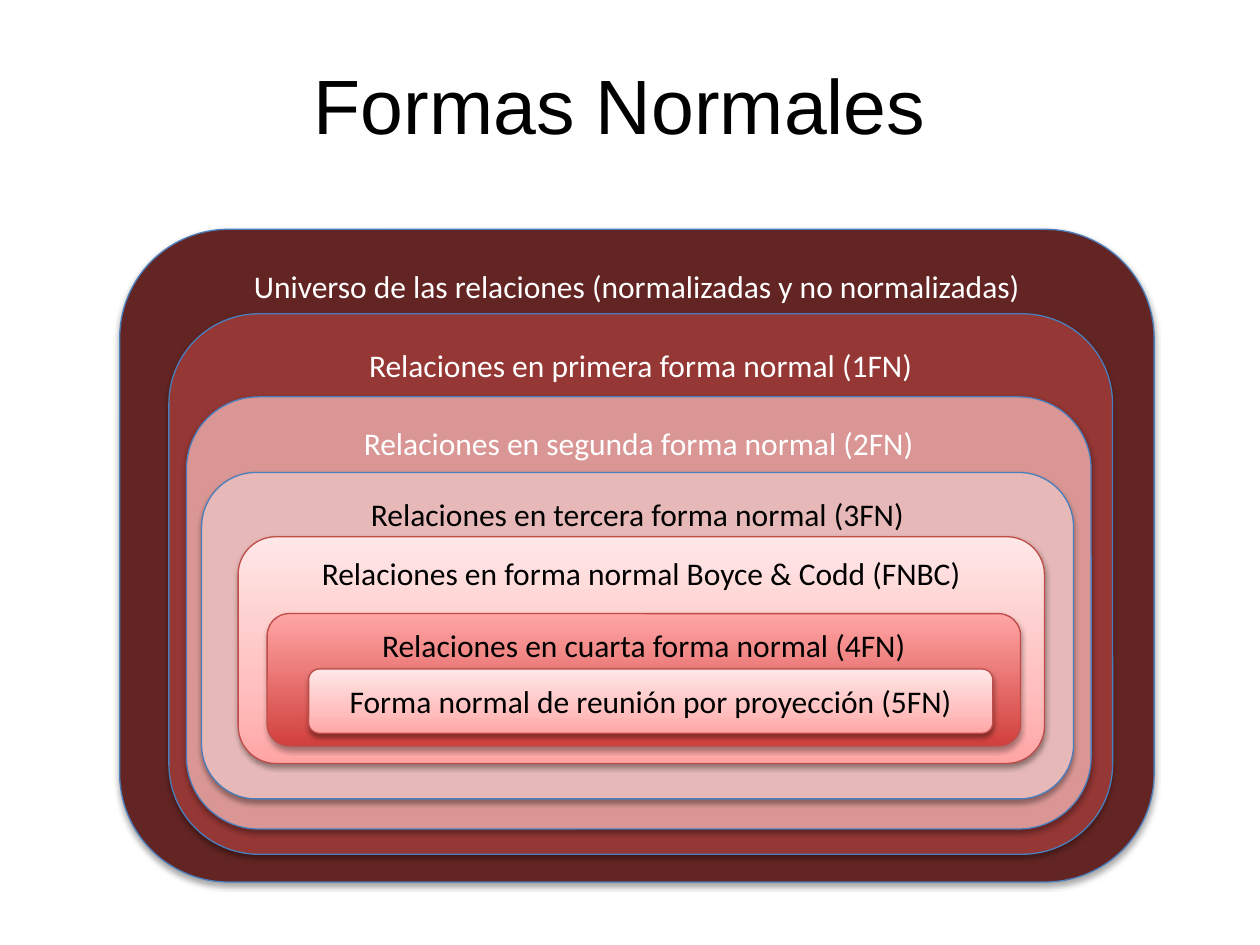
from lxml.etree import SubElement
from pptx import Presentation
from pptx.dml.color import RGBColor
from pptx.enum.shapes import MSO_SHAPE
from pptx.enum.text import MSO_ANCHOR, PP_ALIGN
from pptx.oxml.ns import qn
from pptx.util import Inches, Pt

BLACK = RGBColor(0x00, 0x00, 0x00)
WHITE = RGBColor(0xFF, 0xFF, 0xFF)
MAROON = RGBColor(0x63, 0x25, 0x23)
BRICK = RGBColor(0x95, 0x37, 0x35)
ROSE = RGBColor(0xD9, 0x96, 0x94)
PALE_ROSE = RGBColor(0xE6, 0xB9, 0xB8)
RED = RGBColor(0xD1, 0x40, 0x3C)
SALMON = RGBColor(0xFF, 0xA6, 0xA5)
PINK = RGBColor(0xFF, 0xC0, 0xBF)
BLUSH = RGBColor(0xFF, 0xE7, 0xE7)
BLUE_EDGE = RGBColor(0x4B, 0x7E, 0xBC)
RED_EDGE = RGBColor(0xBF, 0x4C, 0x48)

# Gradients run from bottom to top: (percent, colour)
LIGHT_GRADIENT = [(0, SALMON), (35, PINK), (100, BLUSH)]
DARK_GRADIENT = [(0, RED), (100, SALMON)]

prs = Presentation()
prs.slide_width, prs.slide_height = Inches(10), Inches(7.5)
CELL = prs.slide_width / 100  # square grid: 100 columns by 75 rows


def write_centred(shape, text, size, font_name, colour):
    shape.text_frame.word_wrap = True
    paragraph = shape.text_frame.paragraphs[0]
    paragraph.alignment = PP_ALIGN.CENTER
    run = paragraph.add_run()
    run.text = text
    for attribute, value in {"size": Pt(size), "name": font_name}.items():
        setattr(run.font, attribute, value)
    run.font.color.rgb = colour


def add_shadow(shape, opacity, blur, distance):
    """Cast a black shadow straight down; opacity in percent, lengths in points."""
    shape.shadow.inherit = False
    effects = shape._element.spPr.find(qn("a:effectLst"))
    shadow = SubElement(effects, qn("a:outerShdw"), blurRad=str(Pt(blur)),
                        dist=str(Pt(distance)), dir="5400000", rotWithShape="0")
    black = SubElement(shadow, qn("a:srgbClr"), val=str(BLACK))
    SubElement(black, qn("a:alpha"), val=str(opacity * 1000))


slide = prs.slides.add_slide(prs.slide_layouts[6])

title = slide.shapes.add_textbox(*(int(n * CELL) for n in (6.7, 3.3, 85, 7.3)))
title.text_frame.margin_top = int(1.25 * CELL)
write_centred(title, "Formas Normales", 44, "Arial", BLACK)

# From the outermost set inwards:
# column, row, columns wide, rows high, fill, edge, text colour, shadow, label
SOFT, TIGHT = (35, 3.1, 1.8), (38, 3.1, 1.6)
normal_forms = [
    (9.5, 18.2, 82.1, 51.8, MAROON, BLUE_EDGE, WHITE, SOFT,
     "Universo de las relaciones (normalizadas y no normalizadas)"),
    (13.4, 24.9, 74.9, 42.9, BRICK, BLUE_EDGE, WHITE, SOFT,
     "Relaciones en primera forma normal (1FN)"),
    (14.8, 31.5, 71.8, 34.3, ROSE, BLUE_EDGE, WHITE, SOFT,
     "Relaciones en segunda forma normal (2FN)"),
    (16, 37.5, 69.2, 25.9, PALE_ROSE, BLUE_EDGE, BLACK, SOFT,
     "Relaciones en tercera forma normal (3FN)"),
    (18.9, 42.6, 64, 18, LIGHT_GRADIENT, RED_EDGE, BLACK, TIGHT,
     "Relaciones en forma normal Boyce & Codd (FNBC)"),
    (21.2, 48.7, 59.8, 10.5, DARK_GRADIENT, RED_EDGE, BLACK, SOFT,
     "Relaciones en cuarta forma normal (4FN)"),
    (24.5, 53.1, 54.3, 5.1, LIGHT_GRADIENT, RED_EDGE, BLACK, TIGHT,
     "Forma normal de reunión por proyección (5FN)"),
]

for *place, fill, edge, text_colour, shadow, label in normal_forms:
    ring = slide.shapes.add_shape(MSO_SHAPE.ROUNDED_RECTANGLE,
                                  *(int(n * CELL) for n in place))
    if isinstance(fill, list):
        ring.fill.gradient()
        ring.fill.gradient_angle = 90
        stops = ring._element.spPr.find(qn("a:gradFill")).find(qn("a:gsLst"))
        stops.clear()
        for percent, colour in fill:
            stop = SubElement(stops, qn("a:gs"), pos=str(percent * 1000))
            SubElement(stop, qn("a:srgbClr"), val=str(colour))
    else:
        ring.fill.solid()
        ring.fill.fore_color.rgb = fill
    ring.line.color.rgb = edge
    ring.line.width = Pt(0.75)
    add_shadow(ring, *shadow)
    write_centred(ring, label, 18, "Calibri", text_colour)
    ring.text_frame.vertical_anchor = MSO_ANCHOR.TOP

# The innermost set holds only its label
ring.text_frame.vertical_anchor = MSO_ANCHOR.MIDDLE

prs.save("out.pptx")
